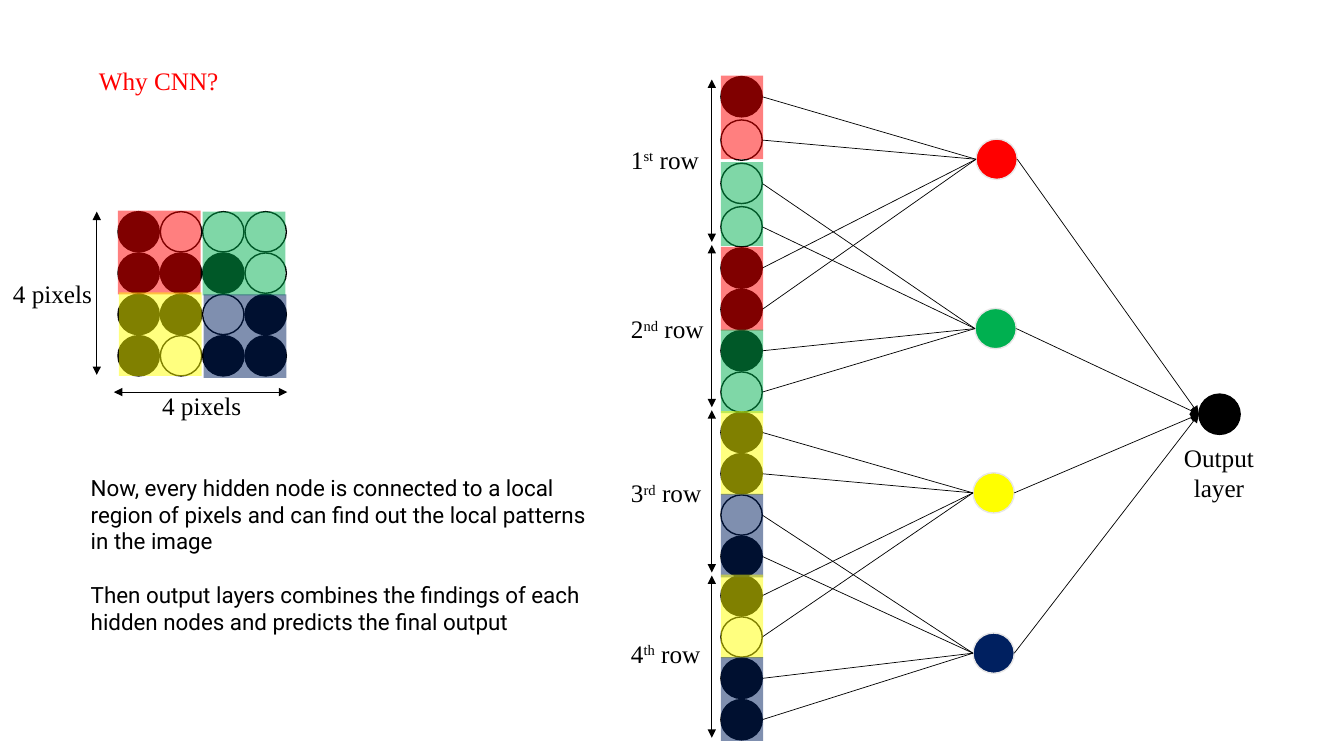
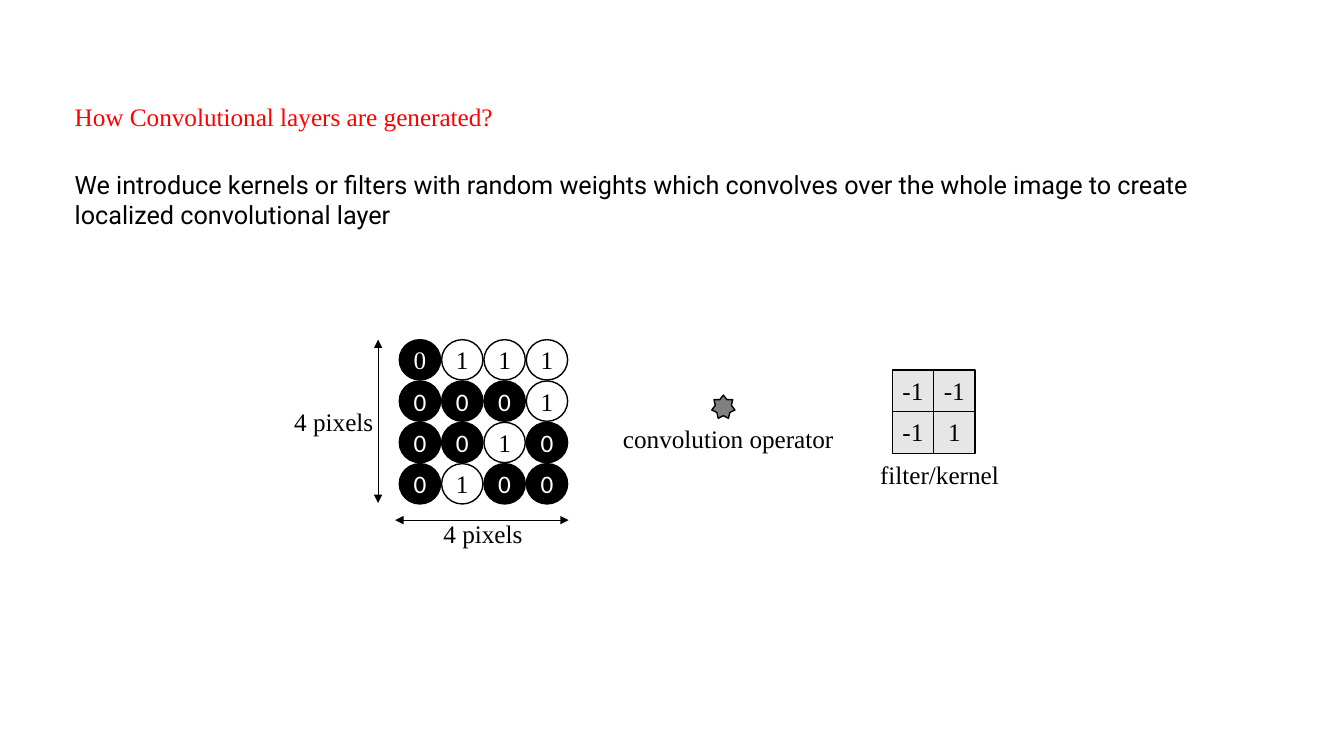
from dataclasses import dataclass

from lxml.etree import SubElement
from pptx import Presentation
from pptx.dml.color import RGBColor
from pptx.enum.shapes import MSO_CONNECTOR, MSO_SHAPE
from pptx.enum.text import MSO_ANCHOR, MSO_AUTO_SIZE, PP_ALIGN
from pptx.oxml.ns import qn
from pptx.shapes.autoshape import Shape
from pptx.shapes.connector import Connector
from pptx.slide import Slide
from pptx.text.text import TextFrame
from pptx.util import Inches, Pt

COLORS = {
    "black": "000000",
    "white": "FFFFFF",
    "red": "FF0000",
    "green": "00B050",
    "yellow": "FFFF00",
    "navy": "002060",
    "light": "E7E6E6",
    "gray": "808080",
}
SERIF, SANS, DIGIT = "Times New Roman", "Roboto", "Calibri"
IMAGE = ("0111", "0001", "0010", "0100")
KERNEL = (("-1", "-1"), ("-1", "1"))
NODE_W, NODE_H = 0.41, 0.4
COL_STEP, ROW_STEP = 0.42, 0.41
TINT_W, TINT_H = 0.82, 0.83
STACK_X = 7.15


@dataclass(frozen=True)
class Box:
    x: float
    y: float
    w: float
    h: float


@dataclass(frozen=True)
class Style:
    font: str = SERIF
    size: int = 18
    color: str = "black"
    align: PP_ALIGN = PP_ALIGN.LEFT
    gap: int = 0


@dataclass(frozen=True)
class PixelRow:
    top: float
    step: float
    number: str
    suffix: str


@dataclass(frozen=True)
class Region:
    color: str
    tint_x: float
    tint_y: float
    hidden_x: float
    hidden_y: float


ROWS = (
    PixelRow(0.76, 0.43, "1", "st"),
    PixelRow(2.46, 0.41, "2", "nd"),
    PixelRow(4.09, 0.41, "3", "rd"),
    PixelRow(5.71, 0.41, "4", "th"),
)
REGIONS = (
    Region("red", 1.17, 2.09, 9.68, 1.38),
    Region("green", 2.01, 2.1, 9.67, 3.06),
    Region("yellow", 1.18, 2.9, 9.65, 4.69),
    Region("navy", 2.02, 2.92, 9.65, 6.28),
)
TITLE = Style(color="red")
CENTERED = Style(align=PP_ALIGN.CENTER)


def rgb(name: str) -> RGBColor:
    return RGBColor.from_string(COLORS[name])


def place(sp: Shape, box: Box) -> None:
    sp.left, sp.top = Inches(box.x), Inches(box.y)
    sp.width, sp.height = Inches(box.w), Inches(box.h)


def write(tf: TextFrame, text: str, style: Style) -> None:
    tf.text = text
    tf.auto_size = MSO_AUTO_SIZE.NONE
    for i, p in enumerate(tf.paragraphs):
        p.alignment = style.align
        p.space_before = Pt(style.gap if i else 0)
        p.font.name = style.font
        p.font.size = Pt(style.size)
        p.font.bold = False
        p.font.color.rgb = rgb(style.color)


def fill_placeholder(sp: Shape, box: Box, text: str, style: Style) -> None:
    place(sp, box)
    write(sp.text_frame, text, style)
    sp.text_frame.word_wrap = True
    sp.text_frame.vertical_anchor = MSO_ANCHOR.TOP


def add_slide(prs: Presentation, title: str, title_box: Box,
              body: str, body_box: Box, body_style: Style) -> Slide:
    s = prs.slides.add_slide(prs.slide_layouts[1])
    fill_placeholder(s.shapes.title, title_box, title, TITLE)
    sp = s.placeholders[1]
    fill_placeholder(sp, body_box, body, body_style)
    for p in sp.text_frame.paragraphs:
        pPr = p._p.get_or_add_pPr()
        pPr.set("marL", "0")
        pPr.set("indent", "0")
        bullet = pPr.makeelement(qn("a:buNone"), {})
        pPr.find(qn("a:defRPr")).addprevious(bullet)
    return s


def add_label(s: Slide, box: Box, text: str, style: Style = Style()) -> Shape:
    sp = s.shapes.add_textbox(*map(Inches, (box.x, box.y, box.w, box.h)))
    write(sp.text_frame, text, style)
    sp.text_frame.word_wrap = False
    return sp


def add_form(s: Slide, kind: MSO_SHAPE, box: Box, fill: str,
             line: str | None = "black") -> Shape:
    sp = s.shapes.add_shape(kind, *map(Inches, (box.x, box.y, box.w, box.h)))
    sp.shadow.inherit = False
    sp.fill.solid()
    sp.fill.fore_color.rgb = rgb(fill)
    if line:
        sp.line.color.rgb = rgb(line)
        sp.line.width = Pt(1)
    else:
        sp.line.fill.background()
    return sp


def add_node(s: Slide, x: float, y: float, fill: str, line: str = "black") -> Shape:
    return add_form(s, MSO_SHAPE.OVAL, Box(x, y, NODE_W, NODE_H), fill, line)


def add_tint(s: Slide, box: Box, color: str) -> None:
    sp = add_form(s, MSO_SHAPE.RECTANGLE, box, color, None)
    clr = sp._element.spPr.find(qn("a:solidFill")).find(qn("a:srgbClr"))
    SubElement(clr, qn("a:alpha"), val="50000")


def add_line(s: Slide, x1: float, y1: float, x2: float, y2: float,
             head: bool = False, tail: bool = False) -> Connector:
    c = s.shapes.add_connector(MSO_CONNECTOR.STRAIGHT, *map(Inches, (x1, y1, x2, y2)))
    c.line.color.rgb = rgb("black")
    c.line.width = Pt(0.5)
    ln = c.line._get_or_add_ln()
    for tag, wanted in (("a:headEnd", head), ("a:tailEnd", tail)):
        if wanted:
            SubElement(ln, qn(tag), type="triangle")
    SubElement(c._element.spPr, qn("a:effectLst"))
    return c


def pixel_color(value: str) -> str:
    return "white" if value == "1" else "black"


def add_image_grid(s: Slide, x: float, y: float, digits: bool) -> None:
    for r, values in enumerate(IMAGE):
        for c, value in enumerate(values):
            sp = add_node(s, x + c * COL_STEP, y + r * ROW_STEP, pixel_color(value))
            if digits:
                font = SERIF if value == "1" or r == c == 0 else DIGIT
                color = "black" if value == "1" else "white"
                tf = sp.text_frame
                write(tf, value, Style(font, color=color, align=PP_ALIGN.CENTER))
                tf.margin_left = tf.margin_right = tf.margin_top = tf.margin_bottom = 0
                tf.vertical_anchor = MSO_ANCHOR.MIDDLE
                tf.word_wrap = False
    add_line(s, x - 0.21, y, x - 0.21, y + 1.62, head=True, tail=True)
    add_line(s, x + 1.68, y + 1.79, x - 0.04, y + 1.79, head=True, tail=True)
    add_label(s, Box(x - 1.14, y + 0.61, 1, 0.4), "4 pixels")
    add_label(s, Box(x + 0.34, y + 1.72, 1, 0.4), "4 pixels")


def add_row_label(s: Slide, row: PixelRow, y: float) -> None:
    p = add_label(s, Box(6.16, y, 0.94, 0.4), row.number).text_frame.paragraphs[0]
    r = p.add_run()
    r.text = row.suffix
    r._r.get_or_add_rPr().set("baseline", "30000")
    p.add_run().text = " row"


def add_network(s: Slide) -> None:
    out_x, out_y = 11.89, 3.91
    for region in REGIONS:
        mid = region.hidden_y + NODE_H / 2
        add_node(s, region.hidden_x, region.hidden_y, region.color, "light")
        add_line(s, region.hidden_x + NODE_W, mid, out_x, out_y + NODE_H / 2, tail=True)
    for i, (row, values) in enumerate(zip(ROWS, IMAGE)):
        arrow_y = 0.79 + i * 1.64
        add_line(s, 7.06, arrow_y, 7.06, arrow_y + 1.61, head=True, tail=True)
        add_row_label(s, row, REGIONS[i].hidden_y)
        for c, value in enumerate(values):
            region = REGIONS[i // 2 * 2 + c // 2]
            y = row.top + c * row.step
            add_node(s, STACK_X, y, pixel_color(value))
            add_line(s, STACK_X + NODE_W, y + NODE_H / 2,
                     region.hidden_x, region.hidden_y + NODE_H / 2)
    for i, row in enumerate(ROWS):
        for half in range(2):
            y = row.top + 2 * half * row.step - 0.01
            add_tint(s, Box(STACK_X, y, 0.42, TINT_H), REGIONS[i // 2 * 2 + half].color)
    add_node(s, out_x, out_y, "black")
    add_label(s, Box(11.64, 4.34, 0.9, 0.71), "Output\nlayer", CENTERED)


def add_kernel(s: Slide, x: float, y: float) -> None:
    sp = add_form(s, MSO_SHAPE.RECTANGLE, Box(x, y, TINT_W, TINT_H), "light")
    for start, end in ((0, 2), (1, 3)):
        c = add_line(s, x, y, x + TINT_W, y + TINT_H)
        c.begin_connect(sp, start)
        c.end_connect(sp, end)
    for r, weights in enumerate(KERNEL):
        for c, weight in enumerate(weights):
            box = Box(x + c * TINT_W / 2, y + r * TINT_H / 2, TINT_W / 2, 0.4)
            add_label(s, box, weight, CENTERED)
    add_label(s, Box(8.63, 4.51, 1.39, 0.4), "filter/kernel")


def build_why_cnn(prs: Presentation) -> None:
    s = add_slide(
        prs, "Why CNN?", Box(0.88, 0.6, 1.5, 0.4),
        "Now, every hidden node is connected to a local region of pixels "
        "and can find out the local patterns in the image\n"
        "Then output layers combines the findings of each hidden nodes "
        "and predicts the final output",
        Box(0.8, 4.65, 5.2, 1.75), Style(SANS, 16, gap=19))
    add_image_grid(s, 1.17, 2.1, digits=False)
    for region in REGIONS:
        add_tint(s, Box(region.tint_x, region.tint_y, TINT_W, TINT_H), region.color)
    add_network(s)


def build_convolution(prs: Presentation) -> None:
    s = add_slide(
        prs, "How Convolutional layers are generated?", Box(0.64, 0.96, 4.6, 0.4),
        "We introduce kernels or filters with random weights which convolves "
        "over the whole image to create localized convolutional layer",
        Box(0.64, 1.63, 11.87, 0.71), Style(SANS))
    add_image_grid(s, 3.96, 3.37, digits=True)
    add_form(s, MSO_SHAPE.STAR_7_POINT, Box(7.06, 3.92, 0.23, 0.23), "gray")
    add_label(s, Box(6.08, 4.15, 2.31, 0.4), "convolution operator")
    add_kernel(s, 8.85, 3.67)


def main() -> None:
    prs = Presentation()
    prs.slide_width, prs.slide_height = Inches(13.33), Inches(7.5)
    build_why_cnn(prs)
    build_convolution(prs)
    prs.save("out.pptx")


if __name__ == "__main__":
    main()
